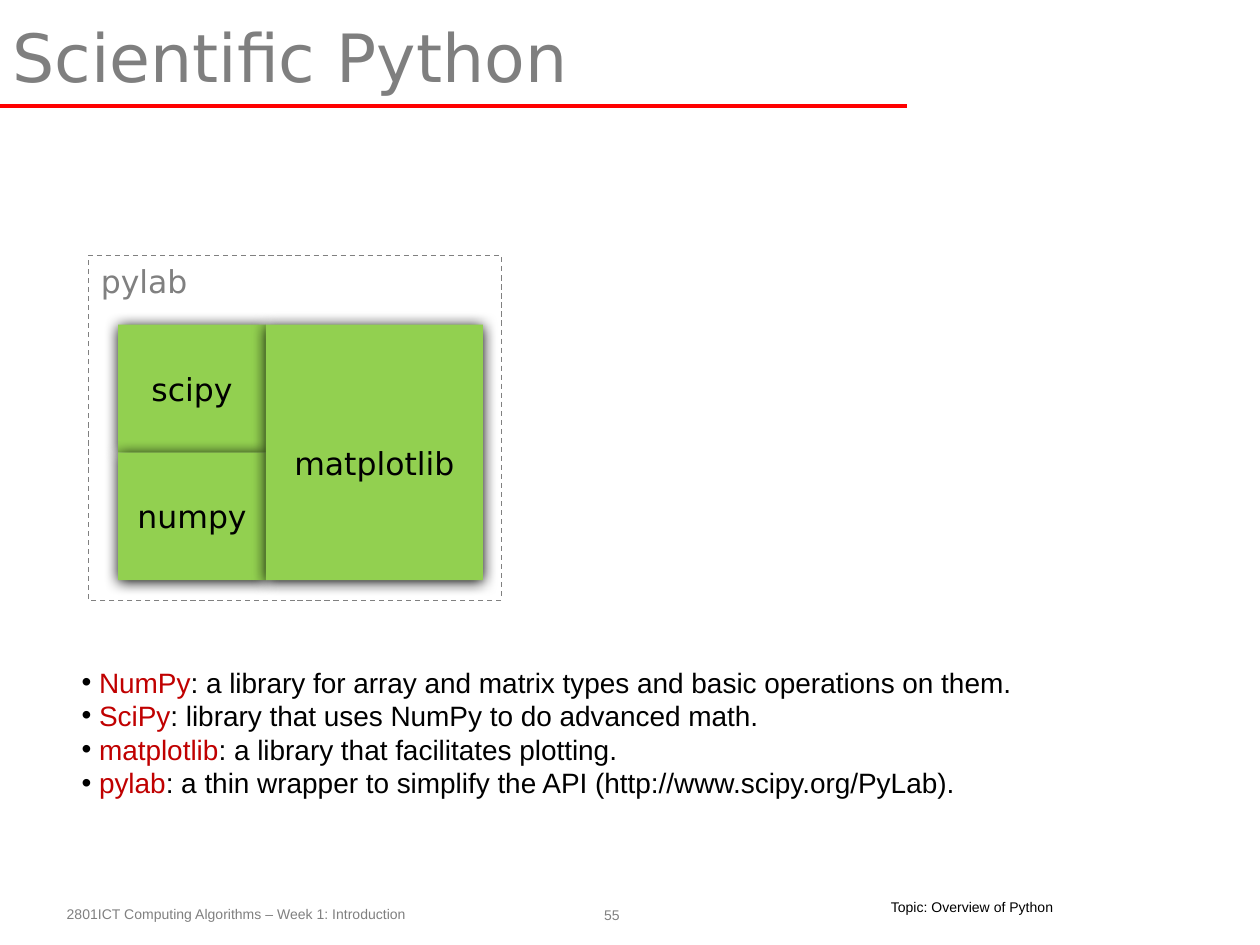
from dataclasses import dataclass

from lxml import etree
from pptx import Presentation
from pptx.dml.color import RGBColor
from pptx.enum.dml import MSO_LINE
from pptx.enum.shapes import MSO_CONNECTOR, MSO_SHAPE
from pptx.enum.text import MSO_ANCHOR, PP_ALIGN
from pptx.oxml.ns import qn
from pptx.util import Pt

DASH = MSO_LINE.DASH
STRAIGHT = MSO_CONNECTOR.STRAIGHT
RECT, OVAL = MSO_SHAPE.RECTANGLE, MSO_SHAPE.OVAL
TOP, MIDDLE, BOTTOM = MSO_ANCHOR.TOP, MSO_ANCHOR.MIDDLE, MSO_ANCHOR.BOTTOM
LEFT, CENTER = PP_ALIGN.LEFT, PP_ALIGN.CENTER


@dataclass(frozen=True)
class Theme:
    black: str = "000000"
    gray: str = "808080"
    title: str = "7F7F7F"
    green: str = "92D050"
    red: str = "FF0000"
    term: str = "C00000"
    body: str = "Arial"
    head: str = "DejaVu Sans"
    huge: float = 38
    label: float = 18
    text: float = 16
    small: float = 8
    lead: float = 19.2


class Page:
    def __init__(self, slide, theme):
        self.shapes = slide.shapes
        self.theme = theme

    def style(self, run, face, size, color):
        run.font.name = face
        run.font.size = Pt(size)
        run.font.color.rgb = RGBColor.from_string(color)

    def letter(self, shape, text, face, size, color, align=LEFT,
               anchor=TOP, inset=(7.2, 3.6, 7.2, 3.6), wrap=True):
        frame = shape.text_frame
        frame.text = text
        frame.word_wrap = wrap
        frame.vertical_anchor = anchor
        (frame.margin_left, frame.margin_top,
         frame.margin_right, frame.margin_bottom) = map(Pt, inset)
        for para in frame.paragraphs:
            para.alignment = align
            for run in para.runs:
                self.style(run, face, size, color)

    def label(self, area, text, face, size, color, **opts):
        box = self.shapes.add_textbox(*map(Pt, area))
        self.letter(box, text, face, size, color, **opts)

    def plain(self, kind, area):
        shape = self.shapes.add_shape(kind, *map(Pt, area))
        shape.shadow.inherit = False
        shape.fill.background()
        shape.line.fill.background()
        return shape

    def badge(self, area, text):
        t = self.theme
        self.letter(self.plain(OVAL, area), text, t.body, t.small, t.gray,
                    align=CENTER, anchor=MIDDLE, inset=(3, 3, 3, 3), wrap=False)

    def block(self, area, text, drop=0):
        t = self.theme
        shape = self.plain(RECT, area)
        shape.fill.solid()
        shape.fill.fore_color.rgb = RGBColor.from_string(t.green)
        glow = etree.SubElement(
            shape.element.spPr.find(qn("a:effectLst")), qn("a:outerShdw"),
            blurRad=str(Pt(8.5)), dist=str(Pt(1)), dir="5400000",
            algn="ctr", rotWithShape="0")
        etree.SubElement(glow, qn("a:srgbClr"), val=t.black)
        self.letter(shape, text, t.head, t.label, t.black, align=CENTER,
                    anchor=MIDDLE, inset=(7.2, 3.6 + drop, 7.2, 3.6))

    def frame(self, area):
        line = self.plain(RECT, area).line
        line.color.rgb = RGBColor.from_string(self.theme.gray)
        line.width = Pt(0.75)
        line.dash_style = DASH

    def rule(self, left, right, y):
        line = self.shapes.add_connector(STRAIGHT, Pt(left), Pt(y), Pt(right), Pt(y))
        line.line.color.rgb = RGBColor.from_string(self.theme.red)
        line.line.width = Pt(2)
        etree.SubElement(line.element.spPr, qn("a:effectLst"))

    def bullets(self, area, items):
        t = self.theme
        box = self.shapes.add_textbox(*map(Pt, area))
        frame = box.text_frame
        frame.word_wrap = True
        frame.text = "\n".join(term for term, _ in items)
        for para, (_, note) in zip(frame.paragraphs, items):
            para.line_spacing = Pt(t.lead)
            self.style(para.runs[0], t.body, t.text, t.term)
            tail = para.add_run()
            tail.text = note
            self.style(tail, t.body, t.text, t.black)
            props = para._p.get_or_add_pPr()
            props.set("marL", str(Pt(10)))
            props.set("indent", str(-Pt(10)))
            tint = etree.SubElement(props, qn("a:buClr"))
            etree.SubElement(tint, qn("a:srgbClr"), val=t.black)
            etree.SubElement(props, qn("a:buFont"), typeface=t.body)
            etree.SubElement(props, qn("a:buChar"), char="•")


def main():
    deck = Presentation()
    deck.slide_width, deck.slide_height = Pt(720), Pt(540)
    t = Theme()
    page = Page(deck.slides.add_slide(deck.slide_layouts[6]), t)

    page.badge((341, 513.5, 17.5, 18.5), "55")
    page.label((31, 514, 300, 17), "2801ICT Computing Algorithms – Week 1: Introduction",
               t.body, t.small, t.gray)
    page.label((0, -19.5, 630, 78), "Scientific Python", t.head, t.huge, t.title,
               anchor=BOTTOM)

    left, top, wide, high = 67.5, 185.5, 84.5, 73
    for row, name in enumerate(("scipy", "numpy")):
        page.block((left, top + row * high, wide, high), name)
    page.block((left + wide, top, 124, 2 * high), "matplotlib", drop=12)
    page.frame((50.5, 146, 236, 197))
    page.label((50.5, 146, 78.5, 29), "pylab", t.head, t.label, t.gray)

    page.bullets((39.5, 376.5, 636, 85), (
        ("NumPy", ": a library for array and matrix types and basic operations on them."),
        ("SciPy", ": library that uses NumPy to do advanced math."),
        ("matplotlib", ": a library that facilitates plotting."),
        ("pylab", ": a thin wrapper to simplify the API (http://www.scipy.org/PyLab)."),
    ))
    page.rule(0, 518.5, 60.5)
    page.label((502, 513.5, 108, 12), "Topic: Overview of Python", t.body, t.small,
               t.black, inset=(7.2, 0, 7.2, 3), wrap=False)
    deck.save("out.pptx")


if __name__ == "__main__":
    main()
